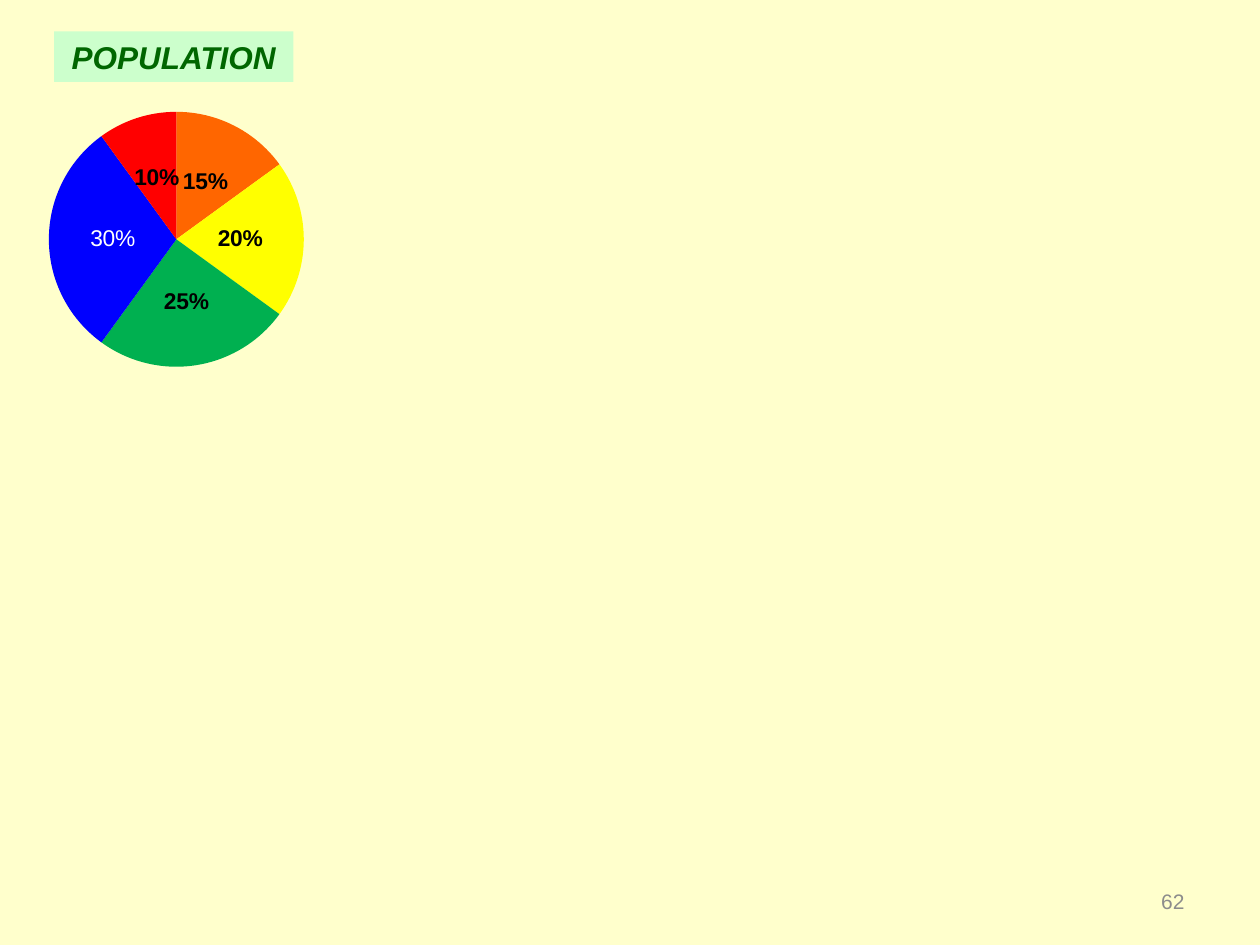
"""Build a slide with a population pie chart, its title and a page number."""
from dataclasses import dataclass

from lxml import etree
from pptx import Presentation
from pptx.chart.data import CategoryChartData
from pptx.dml.color import RGBColor
from pptx.enum.chart import XL_CHART_TYPE, XL_LABEL_POSITION
from pptx.enum.shapes import MSO_SHAPE
from pptx.enum.text import MSO_ANCHOR, PP_ALIGN
from pptx.oxml.ns import qn
from pptx.util import Inches, Pt

PIE = XL_CHART_TYPE.PIE
LABEL_CENTER = XL_LABEL_POSITION.CENTER
RECTANGLE = MSO_SHAPE.RECTANGLE
MIDDLE = MSO_ANCHOR.MIDDLE
CENTER, RIGHT = PP_ALIGN.CENTER, PP_ALIGN.RIGHT

WIDTH, HEIGHT = Inches(10), Inches(7.5)
FONT = "Arial"
LABEL_SIZE = 13
PIE_SHARE = 0.88
COLORS = {
    "background": "FFFFCC",
    "title_fill": "CCFFCC",
    "title": "006600",
    "page_number": "8C8C8C",
    "label": "000000",
    "light_label": "FFFFFF",
    "orange": "FF6600",
    "yellow": "FFFF00",
    "green": "00B050",
    "blue": "0000FF",
    "red": "FF0000",
}


@dataclass(frozen=True)
class Area:
    """Hold a rectangle in inches."""
    left: float
    top: float
    width: float
    height: float

    def lengths(self) -> tuple:
        """Return the rectangle as slide lengths."""
        return tuple(Inches(v) for v in (self.left, self.top, self.width, self.height))


@dataclass(frozen=True)
class Caption:
    """Describe one line of text in a box."""
    text: str
    area: Area
    size: int
    color: str
    align: PP_ALIGN
    fill: str = ""
    emphasis: bool = False


@dataclass(frozen=True)
class Slice:
    """Describe one slice of the pie."""
    value: int
    color: str
    custom_label: str = ""


CHART_AREA = Area(0.25, 0.75, 2.3, 2.3)
CAPTIONS = (
    Caption("62", Area(7.17, 6.95, 2.33, 0.4), 12, "page_number", RIGHT),
    Caption("POPULATION", Area(0.43, 0.25, 1.9, 0.4), 18, "title", CENTER,
            "title_fill", True),
)
SLICES = (
    Slice(15, "orange"),
    Slice(20, "yellow"),
    Slice(25, "green"),
    Slice(30, "blue", "30%"),
    Slice(10, "red"),
)


def rgb(name: str) -> RGBColor:
    """Look up a named colour."""
    return RGBColor.from_string(COLORS[name])


def style_font(font, size: int, color: str, bold: bool = False, italic: bool = False) -> None:
    """Set every font property used on the slide."""
    font.name, font.size = FONT, Pt(size)
    font.bold, font.italic = bold, italic
    font.color.rgb = rgb(color)


def draw_caption(slide, caption: Caption) -> None:
    """Draw a line of text, on a filled rectangle when it has a fill."""
    if caption.fill:
        shape = slide.shapes.add_shape(RECTANGLE, *caption.area.lengths())
        shape.shadow.inherit = False
        shape.fill.solid()
        shape.fill.fore_color.rgb = rgb(caption.fill)
        shape.line.fill.background()
    else:
        shape = slide.shapes.add_textbox(*caption.area.lengths())
    frame = shape.text_frame
    frame.word_wrap = True
    frame.vertical_anchor = MIDDLE
    paragraph = frame.paragraphs[0]
    paragraph.text = caption.text
    paragraph.alignment = caption.align
    style_font(paragraph.font, caption.size, caption.color, caption.emphasis, caption.emphasis)


def set_plot_share(chart, share: float) -> None:
    """Center the plot and give it a share of the chart's size."""
    plot_area = chart.plots[0]._element.getparent()
    for old in plot_area.findall(qn("c:layout")):
        plot_area.remove(old)
    layout = etree.Element(qn("c:layout"))
    manual = etree.SubElement(layout, qn("c:manualLayout"))
    margin = round((1 - share) / 2, 2)
    settings = {"layoutTarget": "inner", "xMode": "edge", "yMode": "edge",
                "x": margin, "y": margin, "w": share, "h": share}
    for name, value in settings.items():
        etree.SubElement(manual, qn(f"c:{name}")).set("val", str(value))
    plot_area.insert(0, layout)


def draw_pie(slide, slices: tuple[Slice, ...]) -> None:
    """Draw the pie chart with percentage labels."""
    data = CategoryChartData()
    data.categories = [str(number) for number in range(1, len(slices) + 1)]
    data.add_series("Series 1", [piece.value for piece in slices])
    chart = slide.shapes.add_chart(PIE, *CHART_AREA.lengths(), data).chart
    chart.has_legend = chart.has_title = False
    style_font(chart.font, 18, "label")
    set_plot_share(chart, PIE_SHARE)

    plot = chart.plots[0]
    plot.vary_by_categories = True
    series = plot.series[0]
    labels = series.data_labels
    labels.show_percentage, labels.show_value = True, False
    labels.number_format, labels.number_format_is_linked = "0%", False
    labels.position = LABEL_CENTER
    style_font(labels.font, LABEL_SIZE, "label", bold=True)
    for index, piece in enumerate(slices):
        point = series.points[index]
        point.format.fill.solid()
        point.format.fill.fore_color.rgb = rgb(piece.color)
        point.format.line.fill.background()
        if piece.custom_label:
            run = point.data_label.text_frame.paragraphs[0].add_run()
            run.text = piece.custom_label
            style_font(run.font, LABEL_SIZE, "light_label")
            point.data_label.position = LABEL_CENTER


def main() -> None:
    """Build and save the presentation."""
    presentation = Presentation()
    presentation.slide_width, presentation.slide_height = WIDTH, HEIGHT
    slide = presentation.slides.add_slide(presentation.slide_layouts[6])
    slide.background.fill.solid()
    slide.background.fill.fore_color.rgb = rgb("background")
    page_number, title = CAPTIONS
    draw_caption(slide, page_number)
    draw_pie(slide, SLICES)
    draw_caption(slide, title)
    presentation.save("out.pptx")


if __name__ == "__main__":
    main()
